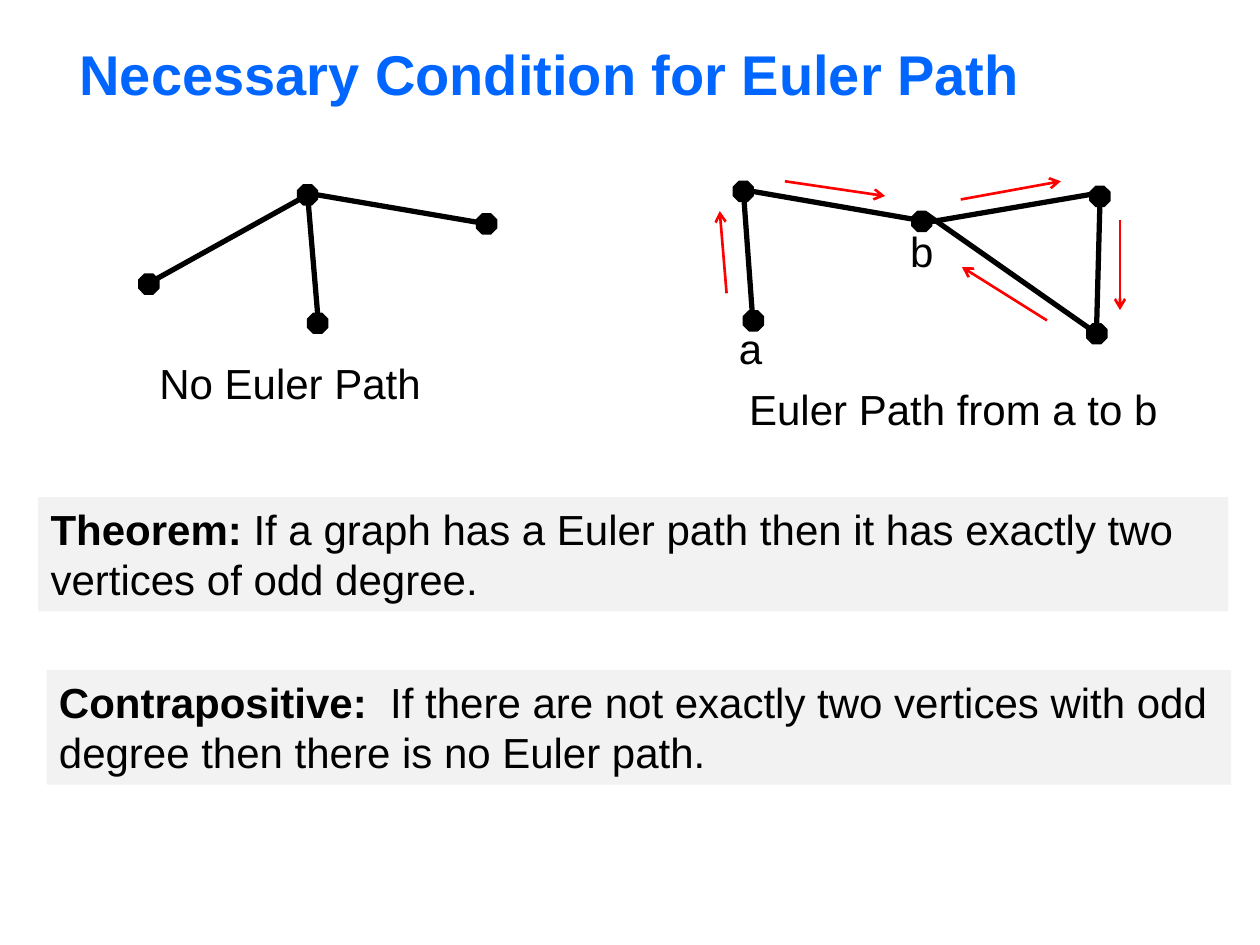
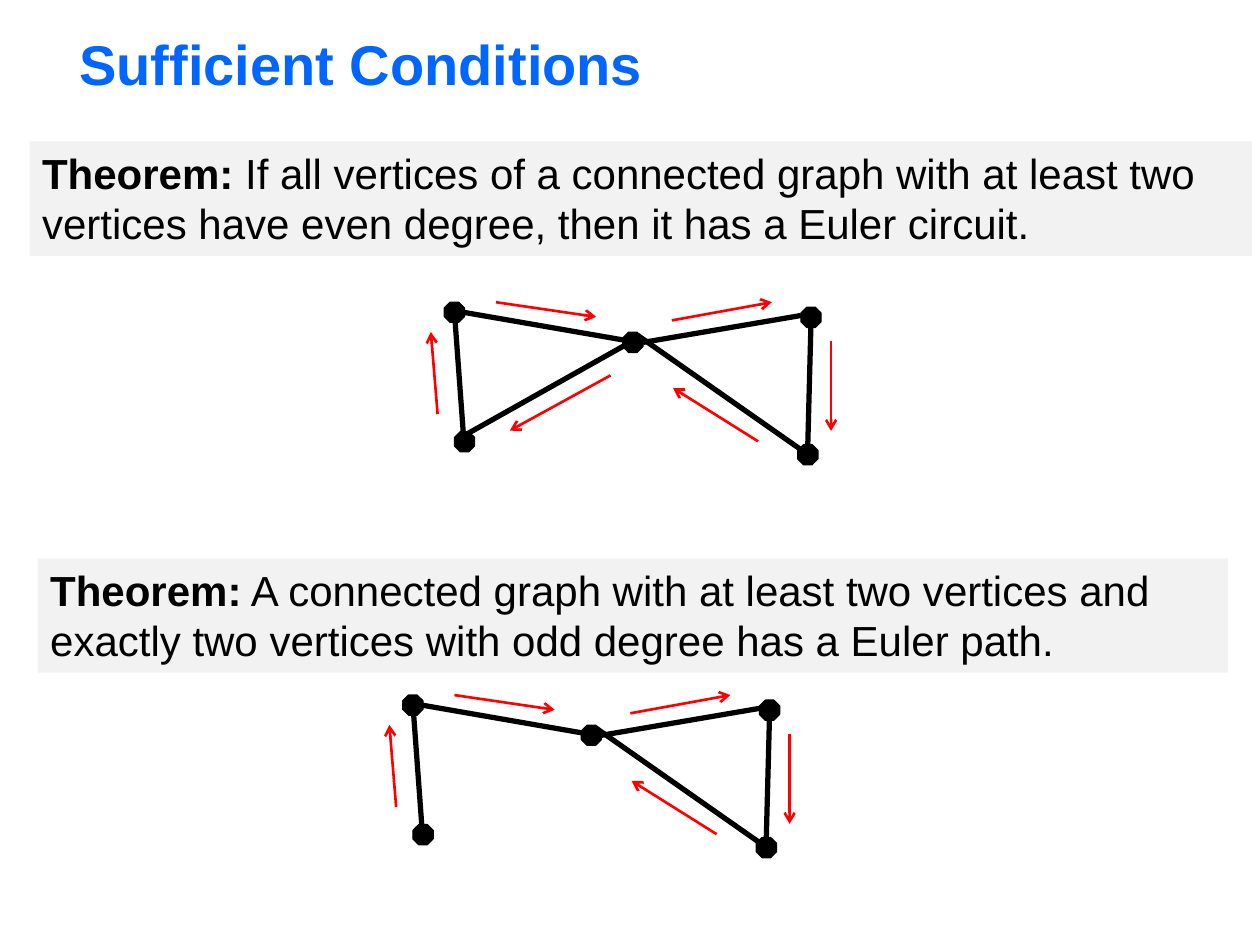
from dataclasses import dataclass

from lxml.etree import SubElement
from pptx import Presentation
from pptx.dml.color import RGBColor
from pptx.enum.shapes import MSO_CONNECTOR, MSO_SHAPE
from pptx.enum.text import MSO_ANCHOR, MSO_AUTO_SIZE, PP_ALIGN
from pptx.oxml.ns import qn
from pptx.util import Pt


@dataclass(frozen=True)
class Theme:
    """Colours, type sizes and line widths of the deck."""
    font: str = "Arial"
    blue: str = "0066FF"
    ink: str = "000000"
    red: str = "FF0000"
    grey: str = "F2F2F2"
    head: int = 32
    body: int = 24
    node: float = 11.5
    rim: float = 0.75
    edge: float = 3
    arrow: float = 1.5


THEME = Theme()

STAR_NODES = [(0, 51), (193, 16.6), (96.5, 73.4), (90.7, 0)]
STAR_EDGES = [
    ((102.2, 73.4), (96.5, 5.8)),
    ((5.8, 56.2), (96.5, 5.8)),
    ((102.2, 5.8), (198.7, 22.3)),
]
BOW_NODES = [(203.8, 2.9), (102, 17.2), (5.8, 74), (0, 0), (202, 81.4)]
BOW_EDGES = [
    ((203.8, 7.6), (113.5, 23)),
    ((11.2, 79.6), (5.8, 5.8)),
    ((11.2, 5.8), (107.6, 22.5)),
    ((207.7, 81.4), (209.5, 13.3)),
    ((207.7, 87), (110.2, 18.7)),
]
BOW_ARROWS = [
    ((29.5, 0), (86.8, 8.4)),
    ((130, 10.4), (187.2, 0)),
    ((221, 22.3), (221, 73.6)),
    ((179.3, 79.5), (130.7, 49)),
    ((-3.8, 64), (-7.7, 17)),
]
LOOP_EDGE = ((107.3, 22.3), (13.7, 74.9))
LOOP_ARROW = ((95, 41.8), (37.4, 73.4))


def tint(name):
    """Turn a hex string into a colour."""
    return RGBColor.from_string(name)


def write(frame, *lines, lead="", size=THEME.body, color=THEME.ink,
          bold=False, wrap=True, anchor=MSO_ANCHOR.TOP):
    """Fill a text frame with lines, the first after an optional bold lead."""
    frame.auto_size = MSO_AUTO_SIZE.NONE
    frame.word_wrap = wrap
    frame.vertical_anchor = anchor
    for index, line in enumerate(lines):
        para = frame.add_paragraph() if index else frame.paragraphs[0]
        para.alignment = PP_ALIGN.LEFT
        parts = [(line, bold)]
        if lead and not index:
            parts.insert(0, (lead, True))
        for words, heavy in parts:
            run = para.add_run()
            run.text = words
            run.font.name = THEME.font
            run.font.size = Pt(size)
            run.font.bold = heavy
            run.font.color.rgb = tint(color)


def title(slide, words, top):
    """Place the slide title at the given top."""
    holder = slide.shapes.title
    holder.left, holder.top = Pt(38.2), Pt(top)
    holder.width, holder.height = Pt(612), Pt(49)
    write(holder.text_frame, words, size=THEME.head, color=THEME.blue,
          bold=True, anchor=MSO_ANCHOR.MIDDLE)


def panel(slide, box, lead, *lines, wrap=True):
    """Draw a grey statement panel with a bold lead word."""
    shape = slide.shapes.add_shape(MSO_SHAPE.RECTANGLE, *map(Pt, box))
    shape.shadow.inherit = False
    shape.fill.solid()
    shape.fill.fore_color.rgb = tint(THEME.grey)
    shape.line.fill.background()
    write(shape.text_frame, *lines, lead=lead, wrap=wrap)


def label(slide, box, words):
    """Place a plain one-line label."""
    shape = slide.shapes.add_textbox(*map(Pt, box))
    write(shape.text_frame, words, wrap=False)


def node(slide, left, top):
    """Draw one black octagon vertex."""
    dot = slide.shapes.add_shape(
        MSO_SHAPE.OCTAGON, Pt(left), Pt(top), Pt(THEME.node), Pt(THEME.node))
    dot.adjustments[0] = 0.29
    dot.shadow.inherit = False
    dot.fill.solid()
    dot.fill.fore_color.rgb = tint(THEME.ink)
    dot.line.color.rgb = tint(THEME.ink)
    dot.line.width = Pt(THEME.rim)


def stroke(slide, origin, ends, color, width, tip=False):
    """Draw a line between two points relative to an origin."""
    spots = [Pt(base + step) for end in ends for base, step in zip(origin, end)]
    line = slide.shapes.add_connector(MSO_CONNECTOR.STRAIGHT, *spots)
    line.line.color.rgb = tint(color)
    line.line.width = Pt(width)
    props = line._element.spPr
    if tip:
        SubElement(props.find(qn("a:ln")), qn("a:tailEnd"), type="arrow")
    SubElement(props, qn("a:effectLst"))


def graph(slide, origin, nodes, edges, arrows=()):
    """Draw vertices, edges and direction arrows from an origin."""
    left, top = origin
    for across, down in nodes:
        node(slide, left + across, top + down)
    for ends in edges:
        stroke(slide, origin, ends, THEME.ink, THEME.edge)
    for ends in arrows:
        stroke(slide, origin, ends, THEME.red, THEME.arrow, tip=True)


def bow(slide, origin, closed=False):
    """Draw the bow-tie graph, open at the left or closed."""
    edges = BOW_EDGES + [LOOP_EDGE] * closed
    arrows = BOW_ARROWS + [LOOP_ARROW] * closed
    graph(slide, origin, BOW_NODES, edges, arrows)


def needed(slide):
    """Build the slide on the necessary condition."""
    title(slide, "Necessary Condition for Euler Path", 17.5)
    panel(slide, (21.8, 284, 680, 65.4), "Theorem:",
          " If a graph has a Euler path then it has exactly two "
          "vertices of odd degree.")
    graph(slide, (79.3, 105.6), STAR_NODES, STAR_EDGES)
    bow(slide, (419, 103.6))
    label(slide, (84, 201, 165.6, 36), "No Euler Path")
    label(slide, (421, 215.6, 250, 36), "Euler Path from a to b")
    panel(slide, (26.6, 383, 677, 65.4), "Contrapositive:",
          "  If there are not exactly two vertices with odd",
          "degree then there is no Euler path.", wrap=False)
    label(slide, (415.2, 181, 28, 36), "a")
    label(slide, (513, 125.3, 28, 36), "b")


def enough(slide):
    """Build the slide on the sufficient conditions."""
    title(slide, "Sufficient Conditions", 11.8)
    panel(slide, (17, 80.8, 698.5, 65.4), "Theorem:",
          " If all vertices of a connected graph with at least two "
          "vertices have even degree, then it has a Euler circuit.")
    panel(slide, (21.6, 319, 680, 65.4), "Theorem:",
          " A connected graph with at least two vertices and "
          "exactly two vertices with odd degree has a Euler path.")
    bow(slide, (253.9, 172.7), closed=True)
    bow(slide, (230.2, 397.2))


def main():
    """Build and save the deck."""
    deck = Presentation()
    deck.slide_width, deck.slide_height = Pt(720), Pt(540)
    for build in (needed, enough):
        build(deck.slides.add_slide(deck.slide_layouts[5]))
    deck.save("out.pptx")


if __name__ == "__main__":
    main()
